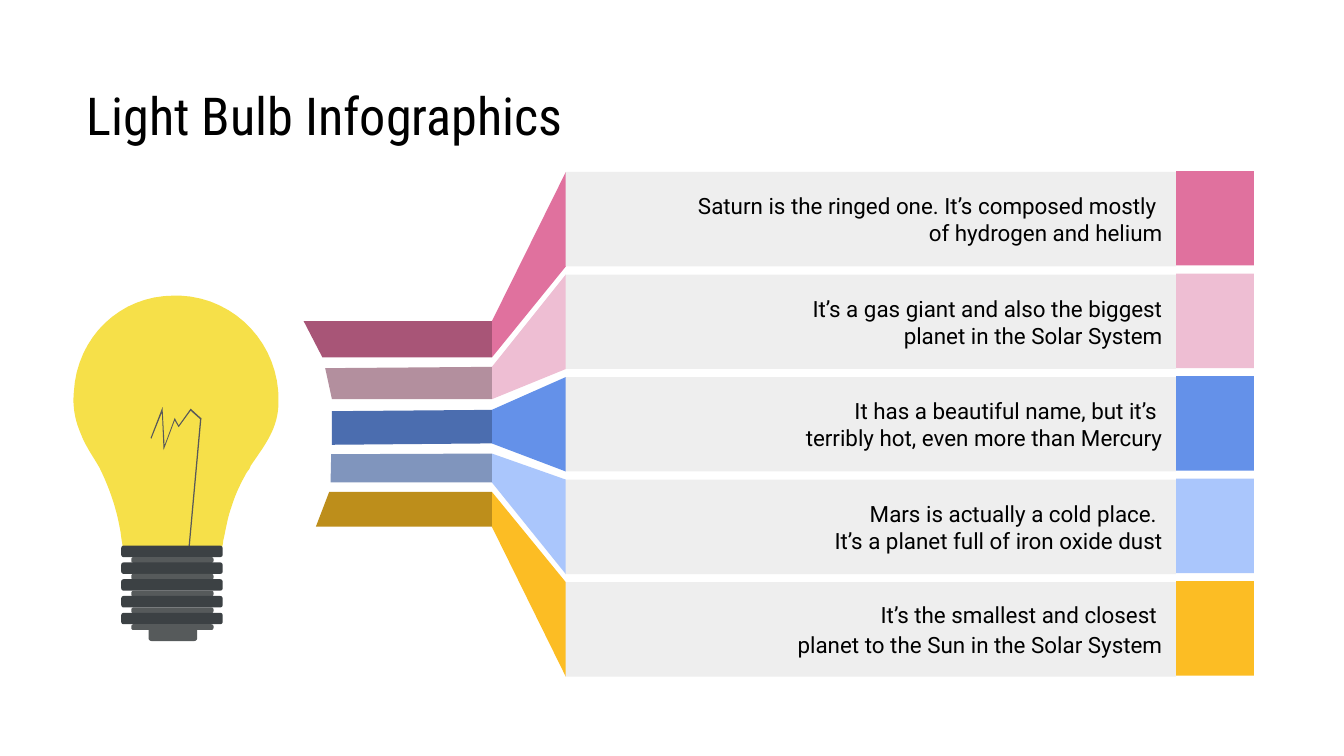
from collections import namedtuple

from pptx import Presentation
from pptx.dml.color import RGBColor
from pptx.enum.shapes import MSO_SHAPE
from pptx.enum.text import MSO_ANCHOR, MSO_AUTO_SIZE, PP_ALIGN
from pptx.util import Inches, Pt

RECT = MSO_SHAPE.RECTANGLE
ROUNDED = MSO_SHAPE.ROUNDED_RECTANGLE
ROUND_TWO = MSO_SHAPE.ROUND_2_SAME_RECTANGLE
MIDDLE = MSO_ANCHOR.MIDDLE
NO_FIT = MSO_AUTO_SIZE.NONE
CENTER, RIGHT = PP_ALIGN.CENTER, PP_ALIGN.RIGHT

SLIDE_W = Inches(10)
SLIDE_H = SLIDE_W * 9 // 16
CELL = SLIDE_W / 100
INSET = Inches(0.1)

Box = namedtuple("Box", "left top width height")
Planet = namedtuple("Planet", "lines color shade fold tail")

TITLE_BOX = Box(5.4, 5.9, 37.5, 5.3)
BULB_BOX = Box(5.4, 22, 15.4, 25.7)
ROWS_BOX = Box(42.1, 12.8, 51.2, 37.55)
ROW_PITCH, ROW_HEIGHT = 7.63, 7.03
TAB_WIDTH, TAB_RISE = 5.8, 0.07
FOLD_X = 36.6

GLASS_START = (49, 0)
GLASS_CURVES = [
    ((23, 0), (2, 16), (0.6, 37.5)),
    ((0, 43), (1, 48), (4, 53.6)),
    ((6, 58), (10, 62.5), (13, 66.7)),
    ((17.5, 74), (21, 82), (22.7, 89.6)),
    ((23.4, 92), (23.4, 94), (24, 95.8)),
    ((24, 97), (24, 100), (28, 100)),
    ((40, 100), (56, 100), (69.5, 100)),
    ((71.4, 99), (72.7, 97.4), (72.7, 95.3)),
    ((74, 91), (74.7, 86.5), (76.6, 82.3)),
    ((78.6, 77), (81, 73), (84.4, 68.2)),
    ((85, 67.7), (85.7, 67), (86, 66)),
    ((92.9, 57.8), (99.5, 51.6), (99.5, 41)),
    ((100, 19.3), (79.2, 1), (52, 0)),
]
POST = [(61.7, 47.4), (55.8, 99.5), (56.4, 99.5), (62.3, 47.4)]
COIL = [
    (43.5, 43.2), (37.7, 55.2), (38.1, 55.5), (43.2, 45.3), (44, 59.9),
    (49.4, 48.4), (51.3, 51), (57.1, 44.6), (61.7, 47.9), (62.3, 47.6),
    (57.1, 43.8), (51.3, 50.3), (49.4, 47.4), (44.5, 58),
]

PLANETS = [
    Planet(("Saturn is the ringed one. It’s composed mostly ", "of hydrogen and helium"),
           "E0719E", "A85577", (23.9, 26.6), ((22.6, 23.9), (24, 26.6))),
    Planet(("It’s a gas giant and also the biggest", "planet in the Solar System"),
           "EEBED3", "B38F9E", (27.3, 29.7), ((24.2, 27.4), (24.7, 29.7))),
    Planet(("It has a beautiful name, but it’s ", "terribly hot, even more than Mercury"),
           "6491E9", "4B6DAF", (30.5, 33), ((24.7, 30.6), (24.7, 33.1))),
    Planet(("Mars is actually a cold place. ", "It’s a planet full of iron oxide dust"),
           "AAC6FC", "8095BD", (33.75, 35.9), ((24.65, 33.8), (24.6, 35.9))),
    Planet(("It’s the smallest and closest ", "planet to the Sun in the Solar System"),
           "FCBD24", "BD8E1B", (36.6, 39.2), ((24.5, 36.6), (23.5, 39.2))),
]


def rgb(color):
    return RGBColor.from_string(color)


def emu(cells):
    return round(cells * CELL)


def paint(shape, color):
    shape.shadow.inherit = False
    shape.fill.solid()
    shape.fill.fore_color.rgb = rgb(color)
    shape.line.fill.background()
    return shape


def add_preset(slide, preset, box, color):
    return paint(slide.shapes.add_shape(preset, *map(emu, box)), color)


def add_outline(slide, points, color):
    corners = [(emu(x), emu(y)) for x, y in points]
    builder = slide.shapes.build_freeform(*corners[0], scale=1.0)
    builder.add_line_segments(corners[1:], close=True)
    return paint(builder.convert_to_shape(), color)


def within(box, points):
    return [(box.left + box.width * x / 100, box.top + box.height * y / 100)
            for x, y in points]


def trace(start, curves, steps=16):
    points = [start]
    for first, second, end in curves:
        for t in (step / steps for step in range(1, steps + 1)):
            weights = ((1 - t) ** 3, 3 * t * (1 - t) ** 2, 3 * t * t * (1 - t), t ** 3)
            points.append(tuple(
                sum(w * value for w, value in zip(weights, axis))
                for axis in zip(start, first, second, end)))
        start = end
    return points


def set_frame(frame, wrap):
    frame.word_wrap = wrap
    frame.auto_size = NO_FIT
    frame.vertical_anchor = MIDDLE
    frame.margin_left = frame.margin_right = INSET
    frame.margin_top = frame.margin_bottom = INSET


def add_run(paragraph, wording, align, size, font):
    paragraph.alignment = align
    run = paragraph.add_run()
    run.text = wording
    run.font.size = Pt(size)
    run.font.name = font
    run.font.color.rgb = rgb("000000")


def add_title(slide, box):
    title = slide.shapes.title
    title.left, title.top, title.width, title.height = map(emu, box)
    set_frame(title.text_frame, False)
    add_run(title.text_frame.paragraphs[0], "Light Bulb Infographics",
            CENTER, 28, "Roboto Condensed")


def add_screw(slide, box):
    pitch, thread, groove = box.height * 0.176, box.height * 0.12, box.height * 0.06
    for turn in range(5):
        top = box.top + turn * pitch
        ridge = add_preset(slide, ROUNDED,
                           Box(box.left, top, box.width, thread), "3C4144")
        ridge.adjustments[0] = 0.2
        gap = add_preset(slide, ROUNDED,
                         Box(box.left + box.width * 0.1, top + thread,
                             box.width * 0.81, groove), "565A5B")
        gap.adjustments[0] = 0.35
    contact = add_preset(slide, ROUND_TWO,
                         Box(box.left + box.width * 0.27, box.top + 5 * pitch,
                             box.width * 0.48, box.height * 0.12), "565A5B")
    contact.adjustments[0] = 0
    contact.adjustments[1] = 0.25


def add_bulb(slide, box):
    glass = box._replace(height=box.height * 0.747)
    add_outline(slide, within(glass, trace(GLASS_START, GLASS_CURVES)), "F6E049")
    for wire in (POST, COIL):
        add_outline(slide, within(glass, wire), "595959")
    add_screw(slide, Box(box.left + box.width * 0.235, box.top + box.height * 0.724,
                         box.width * 0.49, box.height * 0.276))


def add_ribbon(slide, box, planet):
    fold_top, fold_bottom = ((FOLD_X, y) for y in planet.fold)
    add_outline(slide, [(box.left, box.top), fold_top, fold_bottom,
                        (box.left, box.top + box.height)], planet.color)
    add_outline(slide, [fold_top, *planet.tail, fold_bottom], planet.shade)


def add_row(slide, box, planet):
    panel_width = box.width - TAB_WIDTH
    panel = add_preset(slide, RECT, box._replace(width=panel_width), "EEEEEE")
    frame = panel.text_frame
    set_frame(frame, True)
    for number, line in enumerate(planet.lines):
        paragraph = frame.add_paragraph() if number else frame.paragraphs[0]
        add_run(paragraph, line, RIGHT, 12, "Roboto")
    if planet is PLANETS[-1]:
        paragraph.space_before = paragraph.space_after = Pt(2)
    add_preset(slide, RECT, Box(box.left + panel_width, box.top - TAB_RISE,
                                TAB_WIDTH, box.height), planet.color)


def add_planets(slide, box):
    for number, planet in enumerate(PLANETS):
        row = box._replace(top=box.top + number * ROW_PITCH, height=ROW_HEIGHT)
        add_ribbon(slide, row, planet)
        add_row(slide, row, planet)


def main():
    deck = Presentation()
    deck.slide_width, deck.slide_height = SLIDE_W, SLIDE_H
    slide = deck.slides.add_slide(deck.slide_layouts[5])
    add_title(slide, TITLE_BOX)
    add_bulb(slide, BULB_BOX)
    add_planets(slide, ROWS_BOX)
    deck.save("out.pptx")


if __name__ == "__main__":
    main()
